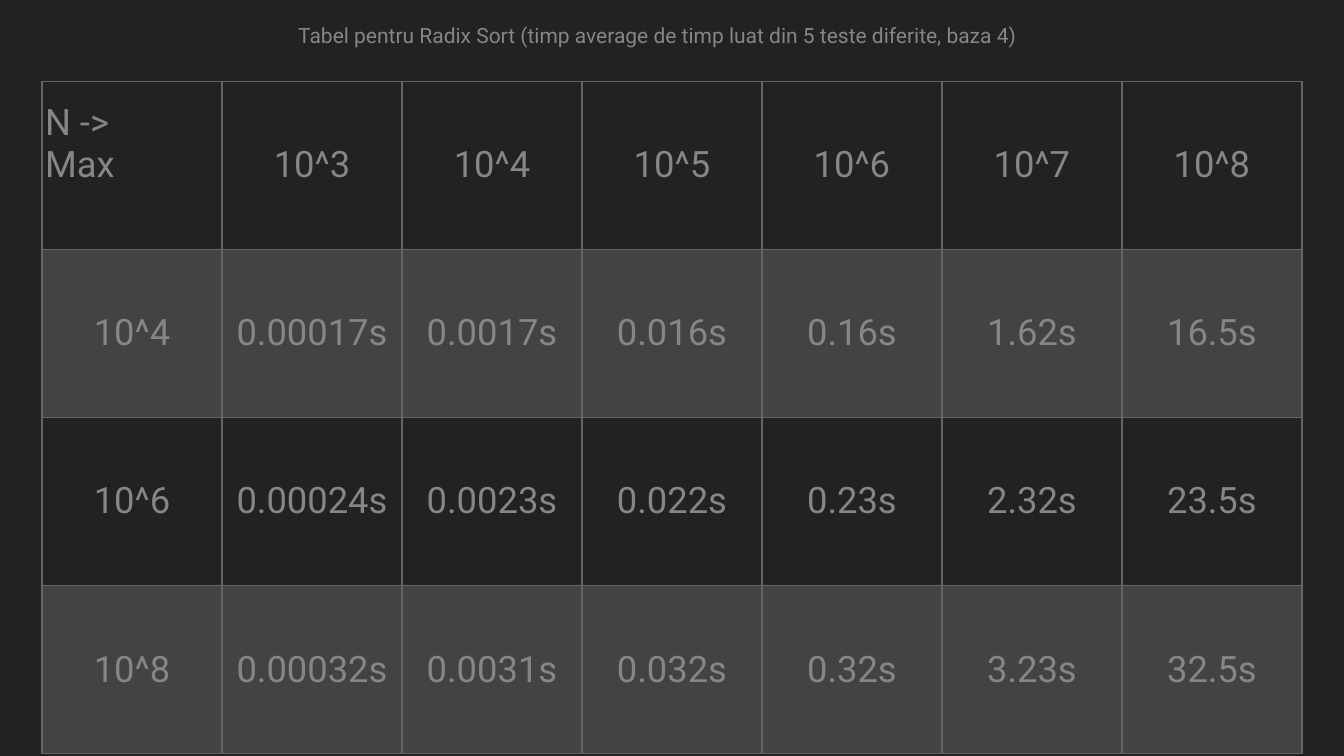
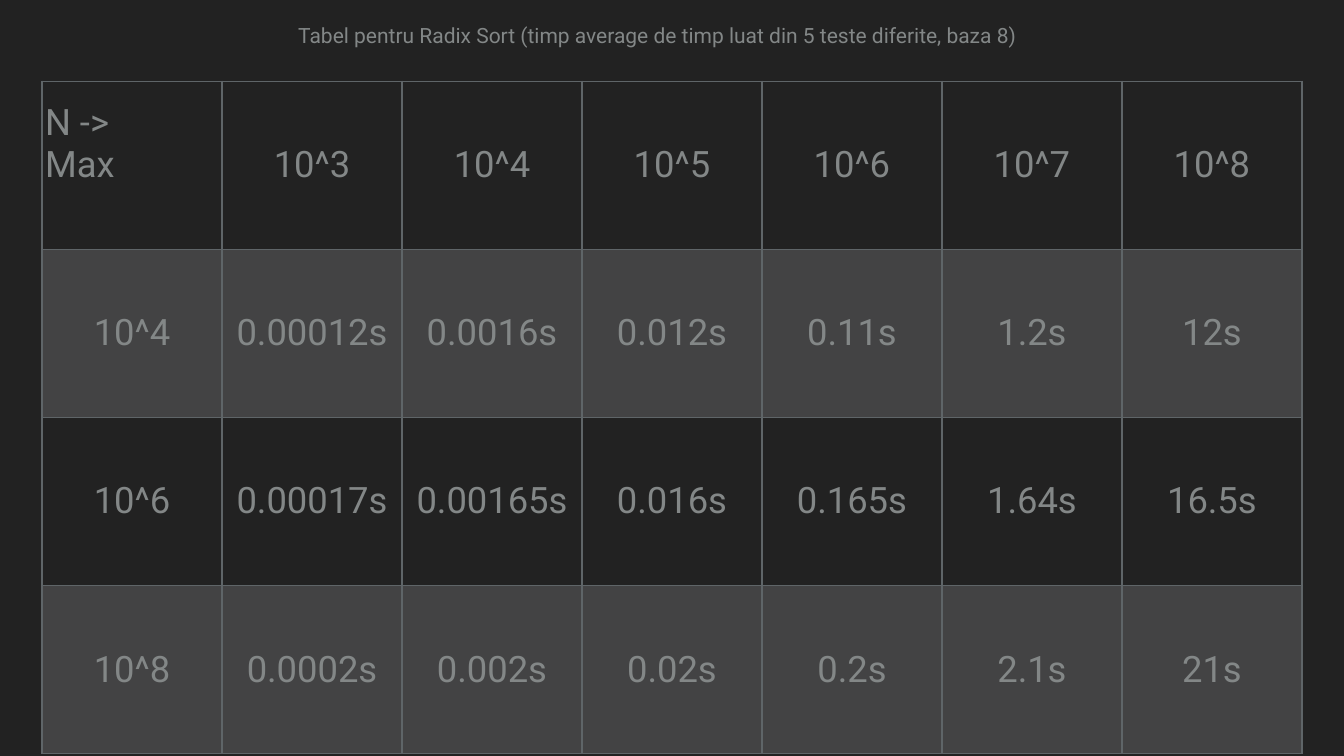
from pptx import Presentation
from pptx.dml.color import RGBColor as RGB
from pptx.enum.text import MSO_ANCHOR as ANCHOR, MSO_AUTO_SIZE as AUTO, PP_ALIGN as ALIGN
from pptx.oxml import parse_xml
from pptx.oxml.ns import nsdecls, qn
from pptx.util import Cm, Pt

COLORS = {"bg": "222222", "text": "838787", "line": "5F6568", "band": "DCDEE0"}
FONT = "Roboto"
INSET = Cm(0.15)
COL_W, ROW_H = Cm(9.07), Cm(8.47)
HEADER = ["N ->\vMax"] + [f"10^{n}" for n in range(3, 9)]
MAXIMA = ["10^4", "10^6", "10^8"]
TIMINGS = {
    4: [
        ["0.00017s", "0.0017s", "0.016s", "0.16s", "1.62s", "16.5s"],
        ["0.00024s", "0.0023s", "0.022s", "0.23s", "2.32s", "23.5s"],
        ["0.00032s", "0.0031s", "0.032s", "0.32s", "3.23s", "32.5s"],
    ],
    8: [
        ["0.00012s", "0.0016s", "0.012s", "0.11s", "1.2s", "12s"],
        ["0.00017s", "0.00165s", "0.016s", "0.165s", "1.64s", "16.5s"],
        ["0.0002s", "0.002s", "0.02s", "0.2s", "2.1s", "21s"],
    ],
}


def write(tf, text, size, align):
    p = tf.paragraphs[0]
    p.alignment = align
    p.space_before = Pt(34)
    for i, line in enumerate(text.split("\v")):
        if i:
            p.add_line_break()
        r = p.add_run()
        r.text = line
        r.font.name = FONT
        r.font.size = Pt(size)
        r.font.color.rgb = RGB.from_string(COLORS["text"])


def style_cell(cell, banded):
    cell.vertical_anchor = ANCHOR.MIDDLE
    cell.margin_left = cell.margin_right = cell.margin_top = cell.margin_bottom = INSET
    tcPr = cell._tc.get_or_add_tcPr()
    for side in "LRTB":
        tcPr.append(parse_xml(
            f'<a:ln{side} {nsdecls("a")} w="{Pt(2)}"><a:solidFill>'
            f'<a:srgbClr val="{COLORS["line"]}"/></a:solidFill></a:ln{side}>'))
    if banded:
        cell.fill.solid()
        cell.fill.fore_color.rgb = RGB.from_string(COLORS["band"])
        color = tcPr.find(qn("a:solidFill")).find(qn("a:srgbClr"))
        color.append(parse_xml(f'<a:alpha {nsdecls("a")} val="18000"/>'))
    else:
        cell.fill.background()


prs = Presentation()
prs.slide_width, prs.slide_height = Cm(67.73), Cm(38.1)

for base, timings in TIMINGS.items():
    s = prs.slides.add_slide(prs.slide_layouts[6])
    s.background.fill.solid()
    s.background.fill.fore_color.rgb = RGB.from_string(COLORS["bg"])

    rows = [HEADER] + [[label] + times for label, times in zip(MAXIMA, timings)]
    table = s.shapes.add_table(len(rows), len(HEADER), Cm(2.12), Cm(4.1),
                               COL_W * len(HEADER), ROW_H * len(rows)).table
    table.first_row = table.horz_banding = False
    for col in table.columns:
        col.width = COL_W
    for i, values in enumerate(rows):
        table.rows[i].height = ROW_H
        for j, value in enumerate(values):
            cell = table.cell(i, j)
            style_cell(cell, i % 2 == 1)
            write(cell.text_frame, value, 52, ALIGN.CENTER)

    corner = table.cell(0, 0)
    corner.margin_bottom = Cm(2.3)
    corner.text_frame.paragraphs[0].alignment = ALIGN.LEFT

    sp = s.shapes.add_textbox(Cm(14.88), Cm(0.9), Cm(37.95), Cm(1.73))
    tf = sp.text_frame
    tf.word_wrap = False
    tf.auto_size = AUTO.SHAPE_TO_FIT_TEXT
    tf.vertical_anchor = ANCHOR.MIDDLE
    tf.margin_left = tf.margin_right = tf.margin_top = tf.margin_bottom = INSET
    write(tf, f"Tabel pentru Radix Sort (timp average de timp luat din 5 teste diferite, baza {base})",
          30, ALIGN.LEFT)

prs.save("out.pptx")
